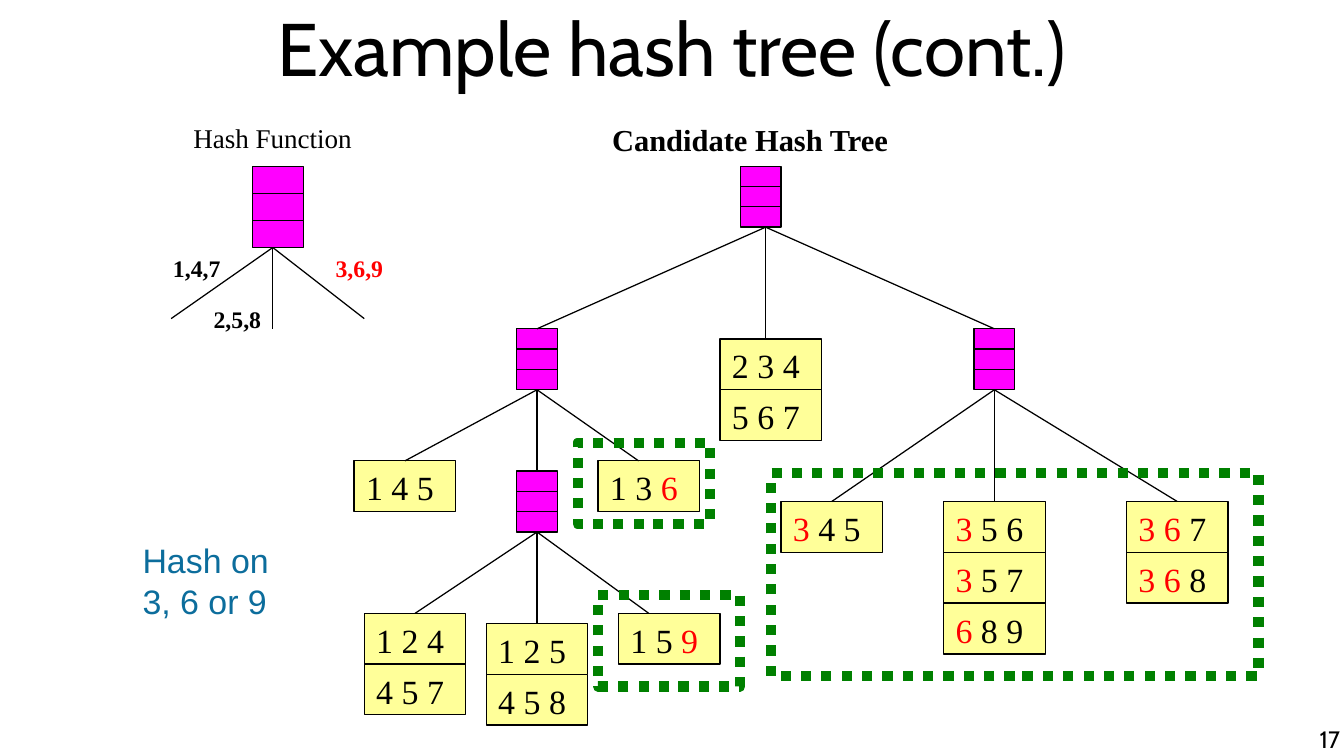
import lxml.etree
import pptx
import pptx.dml.color
import pptx.enum.dml
import pptx.enum.shapes
import pptx.enum.text
import pptx.oxml.ns
import pptx.util

BLACK = pptx.dml.color.RGBColor(0, 0, 0)
RED = pptx.dml.color.RGBColor(255, 0, 0)
PINK = pptx.dml.color.RGBColor(255, 0, 255)
CREAM = pptx.dml.color.RGBColor(255, 255, 153)
GREEN = pptx.dml.color.RGBColor(0, 128, 0)
BLUE = pptx.dml.color.RGBColor(12, 109, 156)
ALIGN = pptx.enum.text.PP_ALIGN
ANCHOR = pptx.enum.text.MSO_ANCHOR
RECT = pptx.enum.shapes.MSO_SHAPE.RECTANGLE
Inch = pptx.util.Inches
Pt = pptx.util.Pt

deck = pptx.Presentation()
deck.slide_width = Inch(11.02)
deck.slide_height = Inch(6.2)
slide = deck.slides.add_slide(deck.slide_layouts[6])
shapes = slide.shapes


def grid(col, row, wide=0, high=0):
    return Inch(0.07 + col / 12), Inch(0.03 + row / 12), Inch(wide / 12), Inch(high / 12)


def say(text, shape, size=20, font="Times New Roman", ink=BLACK, bold=False,
        align=ALIGN.LEFT, anchor=ANCHOR.TOP, pad=0.1):
    frame = shape.text_frame
    frame.word_wrap = True
    frame.vertical_anchor = anchor
    frame.margin_left = frame.margin_right = Inch(pad)
    frame.margin_top = frame.margin_bottom = Inch(pad / 2)
    line = frame.paragraphs[0]
    line.alignment = align
    for turn, part in enumerate(text.split("|")):
        if part:
            run = line.add_run()
            run.text = part
            run.font.name = font
            run.font.size = Pt(size)
            run.font.bold = bold
            run.font.color.rgb = RED if turn % 2 else ink


def rule(start, end):
    line = shapes.add_connector(pptx.enum.shapes.MSO_CONNECTOR.STRAIGHT,
                                *grid(*start)[:2], *grid(*end)[:2])
    line.line.color.rgb = BLACK
    line.line.width = Pt(0.75)
    lxml.etree.SubElement(line._element.spPr, pptx.oxml.ns.qn("a:effectLst"))
    return line


say("Example hash tree (cont.)", shapes.add_textbox(*grid(5.8, -0.8, 119, 10)),
    size=44, font="Cabin", align=ALIGN.CENTER, anchor=ANCHOR.MIDDLE, pad=0)

spots = {}
nodes = {"hash": (24, 16, 5, 8), "root": (72, 16, 4, 6), "left": (50, 32, 4, 6),
         "right": (95, 32, 4, 6), "low": (50, 46, 4, 6)}
for name, (col, row, wide, high) in nodes.items():
    node = shapes.add_shape(RECT, *grid(col, row, wide, high))
    node.shadow.inherit = False
    node.fill.solid()
    node.fill.fore_color.rgb = PINK
    node.line.color.rgb = BLACK
    node.line.width = Pt(0.75)
    spots[name] = node
    for step in (1, 2):
        level = row + high * step / 3
        rule((col, level), (col + wide, level))

stacks = [
    (34, 45, ["1 4 5"]), (58, 45, ["1 3 |6"]),
    (35, 60, ["1 2 4", "4 5 7"]), (47, 61, ["1 2 5", "4 5 8"]), (60, 60, ["1 5 |9"]),
    (70, 33, ["2 3 4", "5 6 7"]), (76, 49, ["|3| 4 5"]),
    (92, 49, ["|3| 5 6", "|3| 5 7", "|6| 8 9"]), (110, 49, ["|3 6| 7", "|3 6| 8"]),
]
for col, row, texts in stacks:
    for step, text in enumerate(texts):
        leaf = shapes.add_shape(RECT, *grid(col, row + 5 * step, 10, 5))
        leaf.shadow.inherit = False
        leaf.fill.solid()
        leaf.fill.fore_color.rgb = CREAM
        leaf.line.color.rgb = BLACK
        leaf.line.width = Pt(0.75)
        say(text, leaf)
        spots[text] = leaf

edges = [
    ("root", (74.5, 22), "left", (52, 32)), ("root", (74.5, 22), "2 3 4", (74.5, 33)),
    ("root", (74.5, 22), "right", (97, 32)),
    ("left", (52, 38), "1 4 5", (39, 45)), ("left", (52, 38), "low", (52, 46)),
    ("left", (52, 38), "1 3 |6", (62, 45)),
    ("low", (52, 52), "1 2 4", (40, 60)), ("low", (52, 52), "1 2 5", (52, 61)),
    ("low", (52, 52), "1 5 |9", (63, 60)),
    ("right", (97, 38), "|3| 4 5", (81, 49)), ("right", (97, 38), "|3| 5 6", (97, 49)),
    ("right", (97, 38), "|3 6| 7", (115, 49)),
    ("hash", (26, 24), None, (16, 31)), ("hash", (26, 24), None, (26, 32)),
    ("hash", (26, 24), None, (35, 31)),
]
for above, start, below, end in edges:
    edge = rule(start, end)
    if above in ("left", "low", "right"):
        edge.begin_connect(spots[above], 2)
    if below and below not in ("2 3 4", "1 3 |6", "1 5 |9"):
        edge.end_connect(spots[below], 0)

labels = [
    ("1,4,7", 15, 24, 9, 4, 14, True), ("2,5,8", 19, 29, 9, 4, 14, True),
    ("|3,6,9", 31, 24, 9, 4, 14, True), ("Hash Function", 17, 11, 20, 4.5, 16, False),
    ("Candidate Hash Tree", 58.2, 11, 33, 4.8, 18, True),
]
for text, col, row, wide, high, size, bold in labels:
    say(text, shapes.add_textbox(*grid(col, row, wide, high)), size=size, bold=bold)

for area in ((58, 58.2, 14, 9), (75, 46.2, 48, 20), (56, 43.2, 13, 8)):
    ring = shapes.add_shape(RECT, *grid(*area))
    ring.shadow.inherit = False
    ring.fill.background()
    ring.line.color.rgb = GREEN
    ring.line.width = Pt(6)
    ring.line.dash_style = pptx.enum.dml.MSO_LINE.ROUND_DOT

say("Hash on 3, 6 or 9", shapes.add_textbox(*grid(12, 52.2, 15, 9.2)),
    font="Arial", ink=BLUE)
say("17", shapes.add_textbox(*grid(100.2, 71, 30.8, 3)),
    size=14, font="Cabin", align=ALIGN.RIGHT, pad=0)

deck.save("out.pptx")
